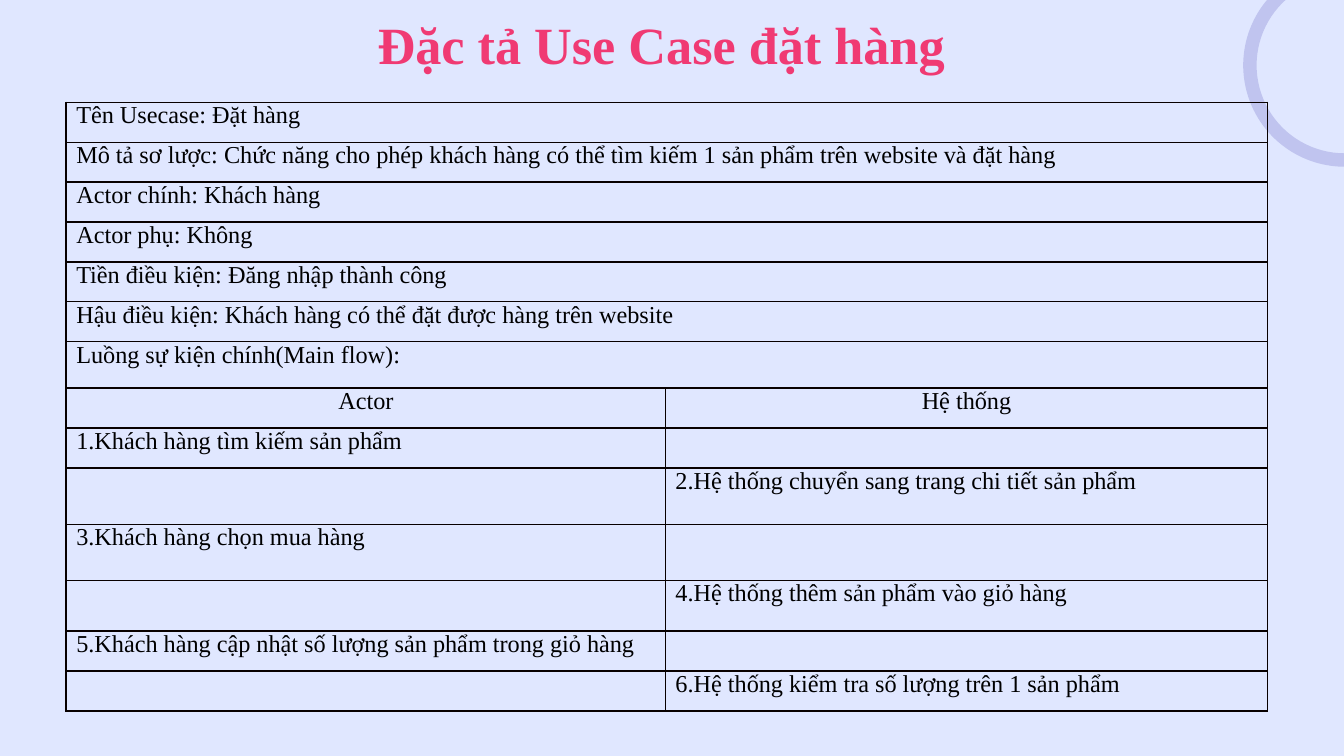
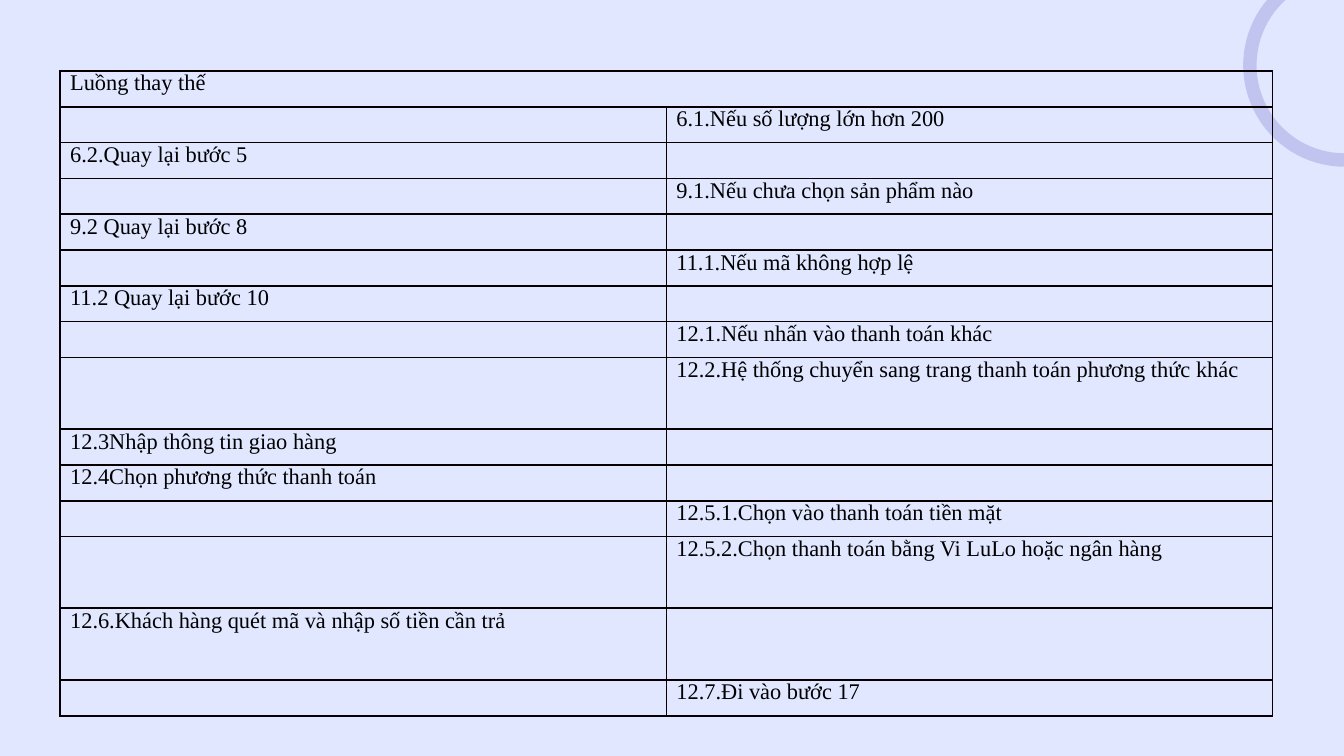
from dataclasses import dataclass

from lxml import etree
from pptx import Presentation
from pptx.dml.color import RGBColor
from pptx.enum.shapes import MSO_SHAPE
from pptx.enum.text import MSO_ANCHOR, PP_ALIGN
from pptx.oxml.ns import qn
from pptx.slide import Slide
from pptx.table import _Cell
from pptx.util import Pt

DONUT = MSO_SHAPE.DONUT
MIDDLE = MSO_ANCHOR.MIDDLE
LEFT = PP_ALIGN.LEFT
CENTER = PP_ALIGN.CENTER

LAVENDER = RGBColor(0xE0, 0xE7, 0xFF)
INDIGO = RGBColor(0x1B, 0x12, 0x9C)
PINK = RGBColor(0xF0, 0x3A, 0x73)
BLACK = RGBColor(0x00, 0x00, 0x00)
BORDER = RGBColor(0x08, 0x00, 0x00)
FONT = "Times New Roman"


@dataclass(frozen=True)
class Step:
    actor: str = ""
    system: str = ""
    height: float | None = None
    merged: bool = False
    align: PP_ALIGN = LEFT


@dataclass(frozen=True)
class FlowTable:
    left: float
    top: float
    columns: tuple[float, float]
    row_height: float
    font_size: float
    steps: tuple[Step, ...]


ORDER_SPEC = FlowTable(
    left=35.5,
    top=54.9,
    columns=(321, 322.5),
    row_height=21.36,
    font_size=13,
    steps=(
        Step("Tên Usecase: Đặt hàng", merged=True),
        Step(
            "Mô tả sơ lược: Chức năng cho phép khách hàng có thể tìm kiếm "
            "1 sản phẩm trên website và đặt hàng",
            merged=True,
        ),
        Step("Actor chính: Khách hàng", merged=True),
        Step("Actor phụ: Không", merged=True),
        Step("Tiền điều kiện: Đăng nhập thành công", merged=True),
        Step("Hậu điều kiện: Khách hàng có thể đặt được hàng trên website", merged=True),
        Step("Luồng sự kiện chính(Main flow):", height=25, merged=True),
        Step("Actor", "Hệ thống", align=CENTER),
        Step("1.Khách hàng tìm kiếm sản phẩm"),
        Step(system="2.Hệ thống chuyển sang trang chi tiết sản phẩm", height=30.3),
        Step("3.Khách hàng chọn mua hàng", height=30),
        Step(system="4.Hệ thống thêm sản phẩm vào giỏ hàng", height=27.2),
        Step("5.Khách hàng cập nhật số lượng sản phẩm trong giỏ hàng"),
        Step(system="6.Hệ thống kiểm tra số lượng trên 1 sản phẩm"),
    ),
)

ROW = 19.2
ALTERNATIVE_FLOW = FlowTable(
    left=32.2,
    top=38,
    columns=(324.8, 324.8),
    row_height=ROW,
    font_size=12,
    steps=(
        Step("Luồng thay thế", merged=True),
        Step(system="6.1.Nếu số lượng lớn hơn 200"),
        Step("6.2.Quay lại bước 5"),
        Step(system="9.1.Nếu chưa chọn sản phẩm nào"),
        Step("9.2 Quay lại bước 8"),
        Step(system="11.1.Nếu mã không hợp lệ"),
        Step("11.2 Quay lại bước 10"),
        Step(system="12.1.Nếu nhấn vào thanh toán khác"),
        Step(
            system="12.2.Hệ thống chuyển sang trang thanh toán phương thức khác",
            height=2 * ROW,
        ),
        Step("12.3Nhập thông tin giao hàng"),
        Step("12.4Chọn phương thức thanh toán"),
        Step(system="12.5.1.Chọn vào thanh toán tiền mặt"),
        Step(
            system="12.5.2.Chọn thanh toán bằng Vi LuLo hoặc ngân hàng",
            height=2 * ROW,
        ),
        Step("12.6.Khách hàng quét mã và nhập số tiền cần trả", height=2 * ROW),
        Step(system="12.7.Đi vào bước 17"),
    ),
)


def add_base_slide(deck: Presentation) -> Slide:
    slide = deck.slides.add_slide(deck.slide_layouts[6])
    slide.background.fill.solid()
    slide.background.fill.fore_color.rgb = LAVENDER
    ring = slide.shapes.add_shape(DONUT, Pt(666), Pt(-19.4), Pt(108.7), Pt(108.7))
    ring.adjustments[0] = 0.066
    ring.shadow.inherit = False
    ring.line.fill.background()
    ring.fill.solid()
    ring.fill.fore_color.rgb = INDIGO
    tint = ring.fill._xPr.find(qn("a:solidFill"))[0]
    etree.SubElement(tint, qn("a:alpha"), val="16000")
    return slide


def add_title(slide: Slide, text: str) -> None:
    title = slide.shapes.add_textbox(Pt(91.4), Pt(-1.4), Pt(525.6), Pt(49.7))
    frame = title.text_frame
    frame.word_wrap = True
    frame.vertical_anchor = MIDDLE
    frame.margin_left = frame.margin_right = Pt(7.2)
    frame.margin_top = frame.margin_bottom = Pt(7.2)
    frame.text = text
    frame.paragraphs[0].alignment = CENTER
    font = frame.paragraphs[0].runs[0].font
    font.name = FONT
    font.size = Pt(28)
    font.bold = True
    font.color.rgb = PINK


def draw_borders(cell: _Cell) -> None:
    properties = cell._tc.get_or_add_tcPr()
    for side in ("L", "R", "T", "B"):
        edge = etree.SubElement(properties, qn(f"a:ln{side}"), w=str(Pt(1)))
        fill = etree.SubElement(edge, qn("a:solidFill"))
        etree.SubElement(fill, qn("a:srgbClr"), val=str(BORDER))


def write_cell(cell: _Cell, text: str, size: float, align: PP_ALIGN) -> None:
    draw_borders(cell)
    cell.fill.background()
    cell.margin_left = cell.margin_right = Pt(5.4)
    cell.margin_top = cell.margin_bottom = Pt(0)
    paragraph = cell.text_frame.paragraphs[0]
    paragraph.alignment = align
    if not text:
        etree.SubElement(paragraph._p, qn("a:endParaRPr"), sz=str(int(size * 100)))
        return
    paragraph.text = text
    font = paragraph.runs[0].font
    font.name = FONT
    font.size = Pt(size)
    font.color.rgb = BLACK


def add_flow_table(slide: Slide, flow: FlowTable) -> None:
    heights = [step.height or flow.row_height for step in flow.steps]
    table = slide.shapes.add_table(
        len(flow.steps),
        len(flow.columns),
        Pt(flow.left),
        Pt(flow.top),
        Pt(sum(flow.columns)),
        Pt(sum(heights)),
    ).table
    table.first_row = False
    table.horz_banding = False
    for column, width in zip(table.columns, flow.columns):
        column.width = Pt(width)
    for row, height, step in zip(table.rows, heights, flow.steps):
        row.height = Pt(height)
        for cell, text in zip(row.cells, (step.actor, step.system)):
            write_cell(cell, text, flow.font_size, step.align)
        if step.merged:
            row.cells[0].merge(row.cells[1])


def main() -> None:
    deck = Presentation()
    deck.slide_width = Pt(720)
    deck.slide_height = Pt(405)

    order_slide = add_base_slide(deck)
    add_flow_table(order_slide, ORDER_SPEC)
    add_title(order_slide, "Đặc tả Use Case đặt hàng")

    alternative_slide = add_base_slide(deck)
    add_flow_table(alternative_slide, ALTERNATIVE_FLOW)

    deck.save("out.pptx")


if __name__ == "__main__":
    main()
